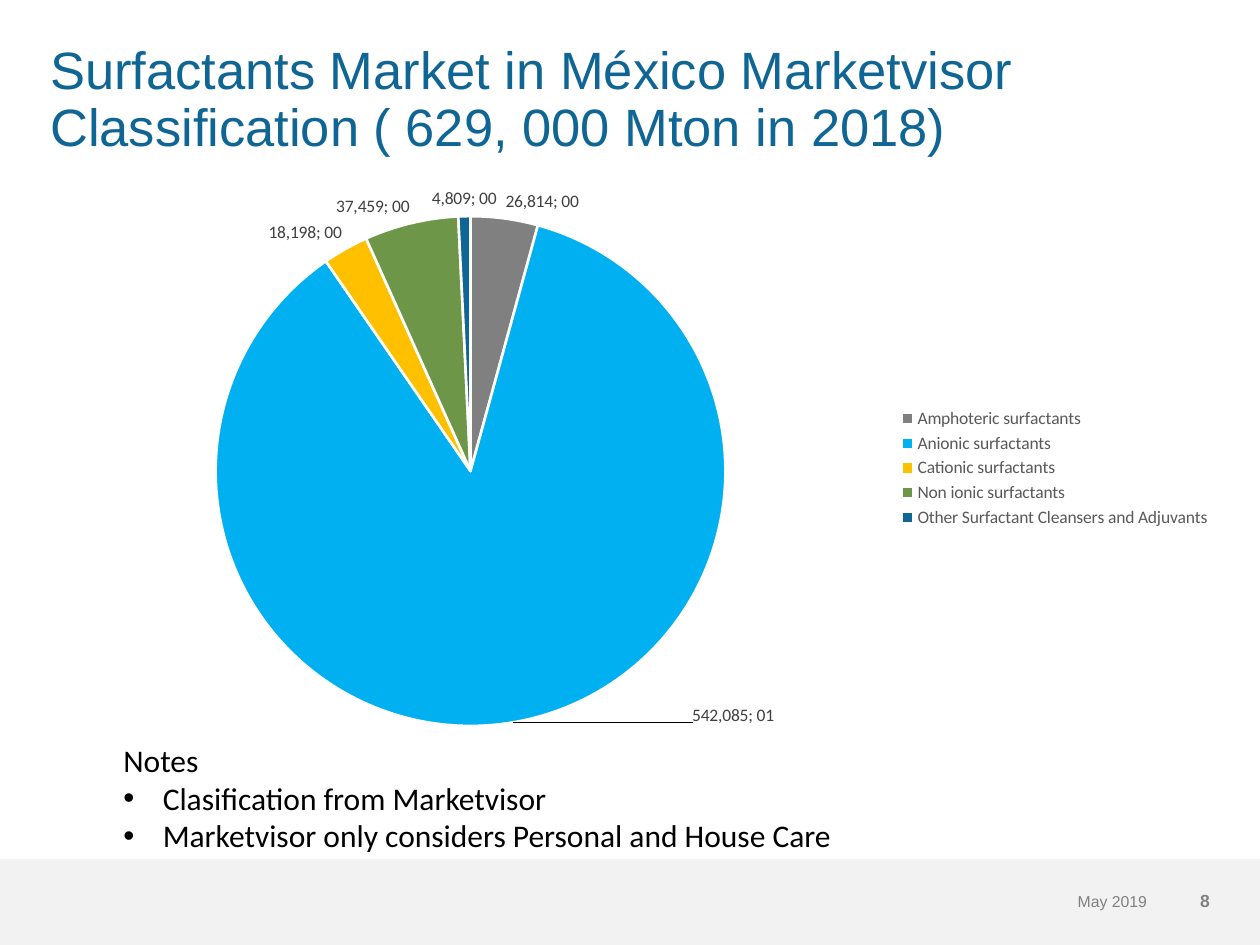
from copy import deepcopy
from dataclasses import dataclass

from lxml import etree
from pptx import Presentation
from pptx.chart.data import CategoryChartData
from pptx.dml.color import RGBColor
from pptx.enum.chart import XL_CHART_TYPE as ChartType
from pptx.enum.chart import XL_LABEL_POSITION as LabelPosition
from pptx.enum.chart import XL_LEGEND_POSITION as LegendPosition
from pptx.enum.shapes import MSO_SHAPE as Shape
from pptx.enum.text import MSO_ANCHOR as Anchor
from pptx.enum.text import PP_ALIGN as Align
from pptx.oxml.ns import qn
from pptx.util import Pt


@dataclass(frozen=True)
class Theme:
    heading_font: str = "Arial"
    body_font: str = "Calibri"
    blue: str = "0F6593"
    black: str = "000000"
    white: str = "FFFFFF"
    band: str = "F2F2F2"
    grey: str = "808080"
    label: str = "404040"
    legend: str = "595959"
    title_size: float = 30
    remark_size: float = 18
    chart_size: float = 10
    date_size: float = 9
    page_size: float = 10


THEME = Theme()
MARKET = [
    ("Amphoteric surfactants", 26814, THEME.grey),
    ("Anionic surfactants", 542085, "00B0F0"),
    ("Cationic surfactants", 18198, "FFC000"),
    ("Non ionic surfactants", 37459, "6D9648"),
    ("Other Surfactant Cleansers and Adjuvants", 4809, THEME.blue),
]
ANIONIC = 1


def style_font(font, name, size, color, bold=False):
    values = {"name": name, "size": Pt(size), "bold": bold}
    for key, value in values.items():
        setattr(font, key, value)
    font.color.rgb = RGBColor.from_string(color)


def add_text(slide, box, lines, style, align=Align.LEFT, anchor=Anchor.TOP):
    frame = slide.shapes.add_textbox(*map(Pt, box)).text_frame
    frame.word_wrap = True
    frame.vertical_anchor = anchor
    frame.text = "\n".join(lines)
    for paragraph in frame.paragraphs:
        paragraph.alignment = align
        style_font(paragraph.runs[0].font, *style)
    return frame


def add_title(slide, box):
    heading = add_text(
        slide, box,
        ["Surfactants Market in México Marketvisor Classification ( 629, 000 Mton in 2018)"],
        (THEME.heading_font, THEME.title_size, THEME.blue))
    heading.paragraphs[0].line_spacing = 0.9


def add_footer(slide, box):
    left, top, width, height = box
    band = slide.shapes.add_shape(Shape.RECTANGLE, *map(Pt, box))
    band.shadow.inherit = False
    band.fill.solid()
    band.fill.fore_color.rgb = RGBColor.from_string(THEME.band)
    band.line.fill.background()
    right = left + width - 21.6
    page_width, date_width, line_height = 36, 121.7, 28.8
    entries = [
        ("May 2019", right - page_width - date_width, date_width, THEME.date_size, False),
        ("8", right - page_width, page_width, THEME.page_size, True),
    ]
    for text, x, entry_width, size, bold in entries:
        add_text(slide, (x, top + 9.4, entry_width, line_height), [text],
                 (THEME.heading_font, size, THEME.grey, bold), Align.RIGHT, Anchor.MIDDLE)


def add_layout(parent, index, **values):
    layout = parent.find(qn("c:layout"))
    if layout is None:
        layout = etree.Element(qn("c:layout"))
        parent.insert(index, layout)
    manual = etree.SubElement(layout, qn("c:manualLayout"))
    for key, value in values.items():
        etree.SubElement(manual, qn(f"c:{key}")).set("val", str(value))


def move_label(labels, point, x, y):
    group = labels._element
    leader = group.find(qn("c:showLeaderLines"))
    if leader is None:
        leader = etree.SubElement(group, qn("c:showLeaderLines"))
    leader.set("val", "1")
    separator = etree.Element(qn("c:separator"))
    separator.text = "; "
    leader.addprevious(separator)
    moved = etree.Element(qn("c:dLbl"))
    etree.SubElement(moved, qn("c:idx")).set("val", str(point))
    moved.extend([deepcopy(part) for part in group if part is not leader])
    add_layout(moved, 1, x=x, y=y)
    group.insert(0, moved)


def add_market_chart(slide, box):
    names, tons, colors = zip(*MARKET)
    data = CategoryChartData(number_format="##,#00")
    data.categories = names
    data.add_series("Series 1", tons)
    chart = slide.shapes.add_chart(ChartType.PIE, *map(Pt, box), data).chart
    style_font(chart.font, THEME.body_font, THEME.chart_size, THEME.black)
    chart.has_title = False
    chart.has_legend = True
    chart.legend.position = LegendPosition.RIGHT
    chart.legend.include_in_layout = False
    style_font(chart.legend.font, THEME.body_font, THEME.chart_size, THEME.legend)
    add_layout(chart._chartSpace.chart.plotArea, 0, layoutTarget="inner",
               xMode="edge", yMode="edge", x=0.15, y=0.08, w=0.43, h=0.85)

    pie = chart.plots[0]
    pie.vary_by_categories = True
    series = pie.series[0]
    for index, color in enumerate(colors):
        slice_format = series.points[index].format
        slice_format.fill.solid()
        slice_format.fill.fore_color.rgb = RGBColor.from_string(color)
        slice_format.line.color.rgb = RGBColor.from_string(THEME.white)
        slice_format.line.width = Pt(1.5)

    labels = series.data_labels
    settings = {
        "show_value": True,
        "show_percentage": True,
        "number_format": "##,#00",
        "number_format_is_linked": False,
        "position": LabelPosition.OUTSIDE_END,
    }
    for key, value in settings.items():
        setattr(labels, key, value)
    style_font(labels.font, THEME.body_font, THEME.chart_size, THEME.label)
    move_label(labels, ANIONIC, 0.15, -0.04)


def add_remarks(slide, box):
    remarks = add_text(
        slide, box,
        ["Notes", "Clasification from Marketvisor",
         "Marketvisor only considers Personal and House Care"],
        (THEME.body_font, THEME.remark_size, THEME.black))
    for paragraph in remarks.paragraphs[1:]:
        properties = paragraph._p.get_or_add_pPr()
        properties.set("marL", str(Pt(22.5)))
        properties.set("indent", str(Pt(-22.5)))
        etree.SubElement(properties, qn("a:buFont")).set("typeface", THEME.heading_font)
        etree.SubElement(properties, qn("a:buChar")).set("char", "•")


def main():
    deck = Presentation()
    deck.slide_width, deck.slide_height = Pt(720), Pt(540)
    slide = deck.slides.add_slide(deck.slide_layouts[6])
    add_footer(slide, (0, 491, 720, 49))
    add_title(slide, (21.6, 21.6, 677.5, 104.4))
    add_market_chart(slide, (21.6, 95, 677.5, 345))
    add_remarks(slide, (63.4, 419.8, 599, 94.3))
    deck.save("out.pptx")


if __name__ == "__main__":
    main()
